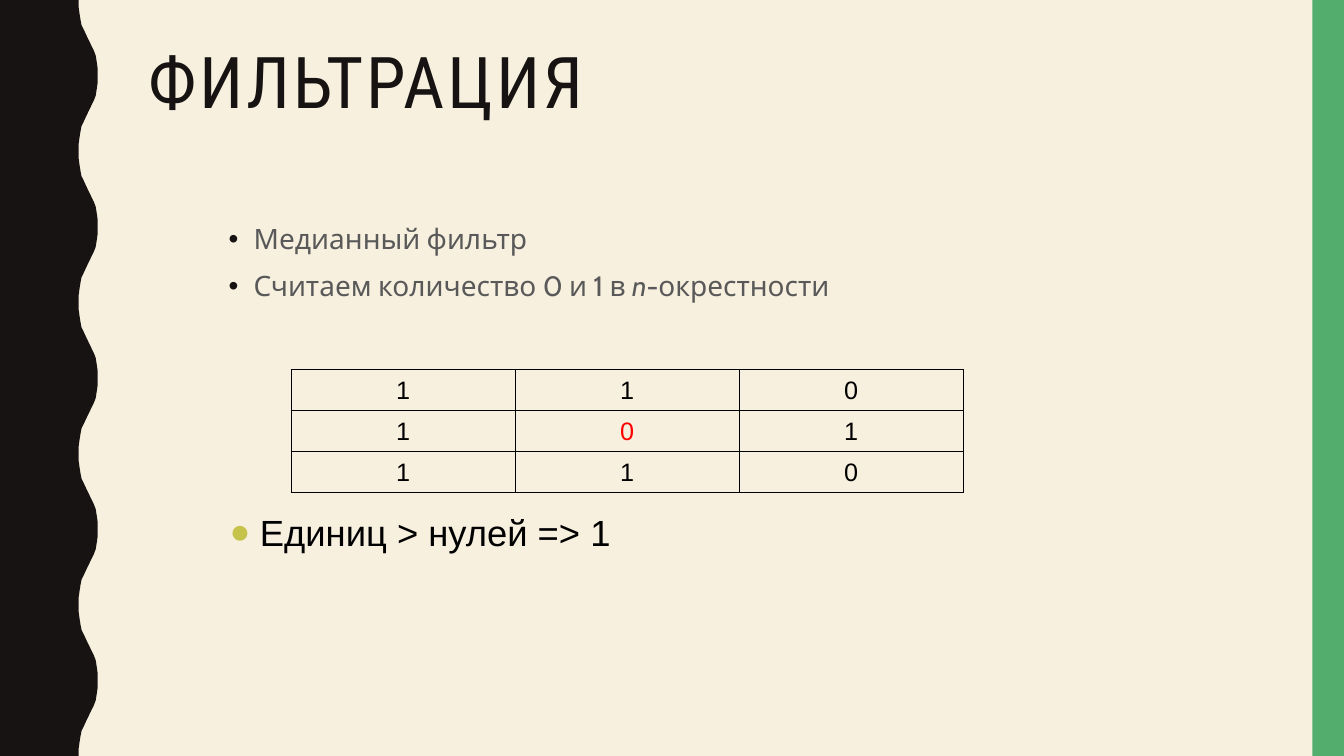
from lxml import etree
from pptx import Presentation
from pptx.dml.color import RGBColor
from pptx.enum import shapes, text
from pptx.oxml import ns
from pptx.util import Pt

INK = RGBColor(0x17, 0x13, 0x12)
CREAM = RGBColor(0xF7, 0xF0, 0xDF)
GREEN = RGBColor(0x53, 0xAE, 0x6E)
GRAY = RGBColor(0x59, 0x59, 0x59)
OLIVE = RGBColor(0xC5, 0xC3, 0x4A)
BLACK = RGBColor(0, 0, 0)
RED = RGBColor(0xFF, 0, 0)

WIDTH, HEIGHT = 960, 540
TITLE = "ФИЛЬТРАЦИЯ"
POINTS = [
    [("Медианный фильтр", False)],
    [("Считаем количество 0 и 1 в ", False), ("n", True), ("-окрестности", False)],
]
CONCLUSION = [[("Единиц > нулей => 1", False)]]
NEIGHBOURHOOD = ["110", "101", "110"]
CENTRE = (1, 1)
COLUMN_WIDTH, ROW_HEIGHT = 160, 29.3
WAVE_COUNT, WAVE_PERIOD = 5, 108
HALF_WAVE = [
    (56.2, 0), (56.2, 5), (56.9, 10), (57.6, 14.4), (58.3, 18),
    (59.8, 21), (61.2, 24), (62.6, 27), (64.1, 30), (65.5, 33),
    (67, 36), (68.4, 39.6), (69.1, 44), (69.8, 49), (69.8, 54),
]


def paint(shape, color):
    shape.shadow.inherit = False
    shape.fill.solid()
    shape.fill.fore_color.rgb = color
    shape.line.fill.background()


def add_run(paragraph, words, font_name, size, color, italic=False):
    run = paragraph.add_run()
    run.text = words
    run.font.name = font_name
    run.font.size = Pt(size)
    run.font.color.rgb = color
    run.font.italic = italic
    return run


def add_child(parent, tag, **attributes):
    child = etree.SubElement(parent, ns.qn(tag))
    for name, value in attributes.items():
        child.set(name, str(value))
    return child


def add_bullet(paragraph, symbol, color, percent, indent):
    properties = paragraph._p.get_or_add_pPr()
    properties.set("marL", str(Pt(indent)))
    properties.set("indent", str(-Pt(indent)))
    add_child(add_child(properties, "a:buClr"), "a:srgbClr", val=color)
    add_child(properties, "a:buSzPct", val=percent * 1000)
    add_child(properties, "a:buFont", typeface="Arial")
    add_child(properties, "a:buChar", char=symbol)


def add_list(slide, box, items, font, spacing, bullet):
    frame = slide.shapes.add_textbox(*map(Pt, box)).text_frame
    frame.word_wrap = True
    line_spacing, space_before = spacing
    for index, item in enumerate(items):
        paragraph = frame.add_paragraph() if index else frame.paragraphs[0]
        paragraph.line_spacing = line_spacing
        paragraph.space_before = Pt(space_before)
        add_bullet(paragraph, *bullet)
        for words, italic in item:
            add_run(paragraph, words, *font, italic)


def add_wave(slide):
    mirrored = [(x, WAVE_PERIOD - y) for x, y in reversed(HALF_WAVE[:-1])]
    edge = [
        (x, y + wave * WAVE_PERIOD)
        for wave in range(WAVE_COUNT)
        for x, y in HALF_WAVE + mirrored
    ]
    builder = slide.shapes.build_freeform(0, 0)
    builder.add_line_segments([(Pt(x), Pt(y)) for x, y in edge + [(0, HEIGHT)]])
    paint(builder.convert_to_shape(), INK)


def add_title(slide):
    title = slide.shapes.title
    title.left, title.top, title.width, title.height = map(Pt, (98.6, 30.2, 801.4, 117.4))
    frame = title.text_frame
    frame.auto_size = text.MSO_AUTO_SIZE.NONE
    frame.vertical_anchor = text.MSO_ANCHOR.TOP
    paragraph = frame.paragraphs[0]
    paragraph.alignment = text.PP_ALIGN.LEFT
    paragraph.line_spacing = 0.9
    run = add_run(paragraph, TITLE, "Roboto Condensed", 51, INK)
    run.font._element.set("spc", "200")


def add_borders(cell):
    properties = cell._tc.get_or_add_tcPr()
    for side in ("a:lnL", "a:lnR", "a:lnT", "a:lnB"):
        line = add_child(properties, side, w=Pt(1))
        add_child(add_child(line, "a:solidFill"), "a:srgbClr", val=BLACK)


def add_neighbourhood(slide):
    rows, columns = len(NEIGHBOURHOOD), len(NEIGHBOURHOOD[0])
    box = (208, 264.2, columns * COLUMN_WIDTH, rows * ROW_HEIGHT)
    table = slide.shapes.add_table(rows, columns, *map(Pt, box)).table
    table.first_row = table.horz_banding = False
    for row, digits in enumerate(NEIGHBOURHOOD):
        for column, digit in enumerate(digits):
            cell = table.cell(row, column)
            add_borders(cell)
            cell.fill.background()
            cell.vertical_anchor = text.MSO_ANCHOR.MIDDLE
            paragraph = cell.text_frame.paragraphs[0]
            paragraph.alignment = text.PP_ALIGN.CENTER
            color = RED if (row, column) == CENTRE else BLACK
            add_run(paragraph, digit, "Arial", 18, color)


def main():
    presentation = Presentation()
    presentation.slide_width, presentation.slide_height = Pt(WIDTH), Pt(HEIGHT)
    slide = presentation.slides.add_slide(presentation.slide_layouts[5])
    slide.background.fill.solid()
    slide.background.fill.fore_color.rgb = CREAM

    add_wave(slide)
    stripe_box = map(Pt, (937.5, 0, 22.5, HEIGHT))
    paint(slide.shapes.add_shape(shapes.MSO_SHAPE.RECTANGLE, *stripe_box), GREEN)
    add_title(slide)
    add_list(slide, (156.2, 152.6, 648, 89.3), POINTS,
             ("Cabin", 20, GRAY), (1.1, 7), ("•", INK, 100, 18))
    add_neighbourhood(slide)
    add_list(slide, (157, 360.7, 648, 89.3), CONCLUSION,
             ("Arial", 26, BLACK), (1.0, 5.2), ("●", OLIVE, 95, 21.6))
    presentation.save("out.pptx")


if __name__ == "__main__":
    main()
